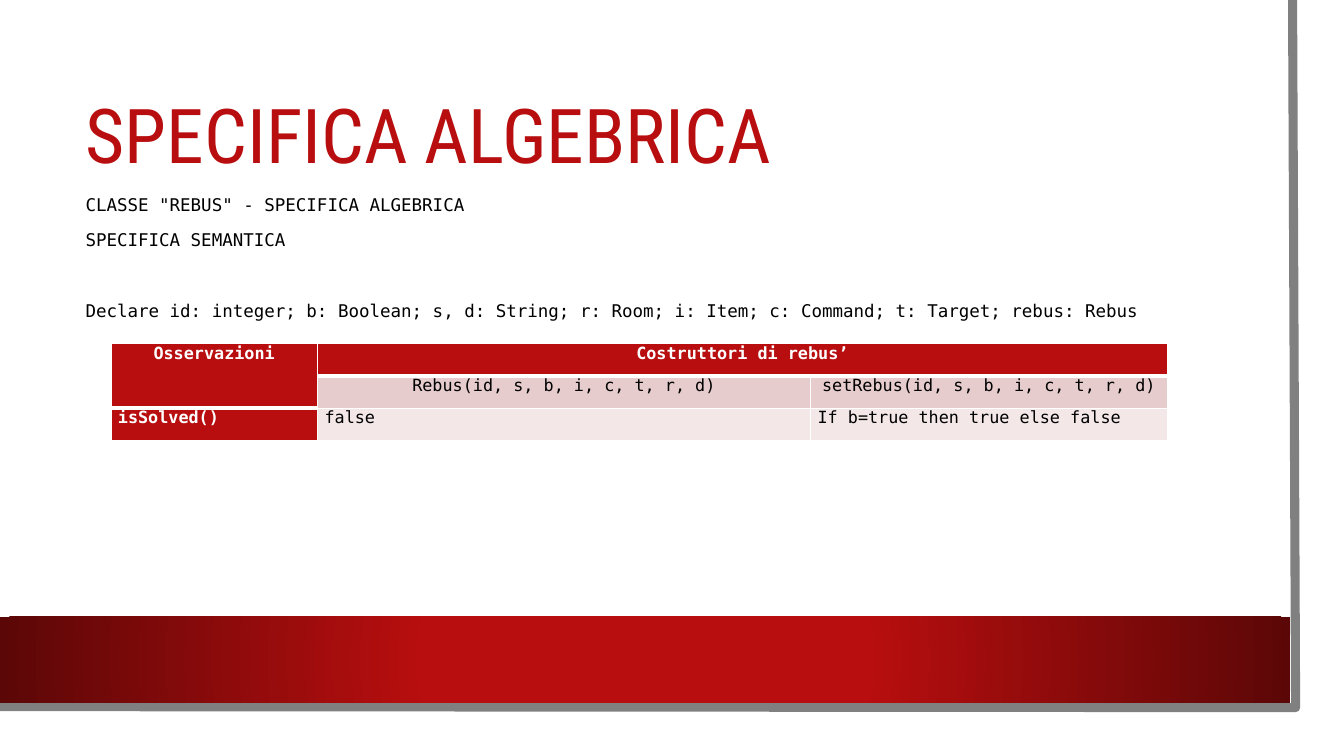
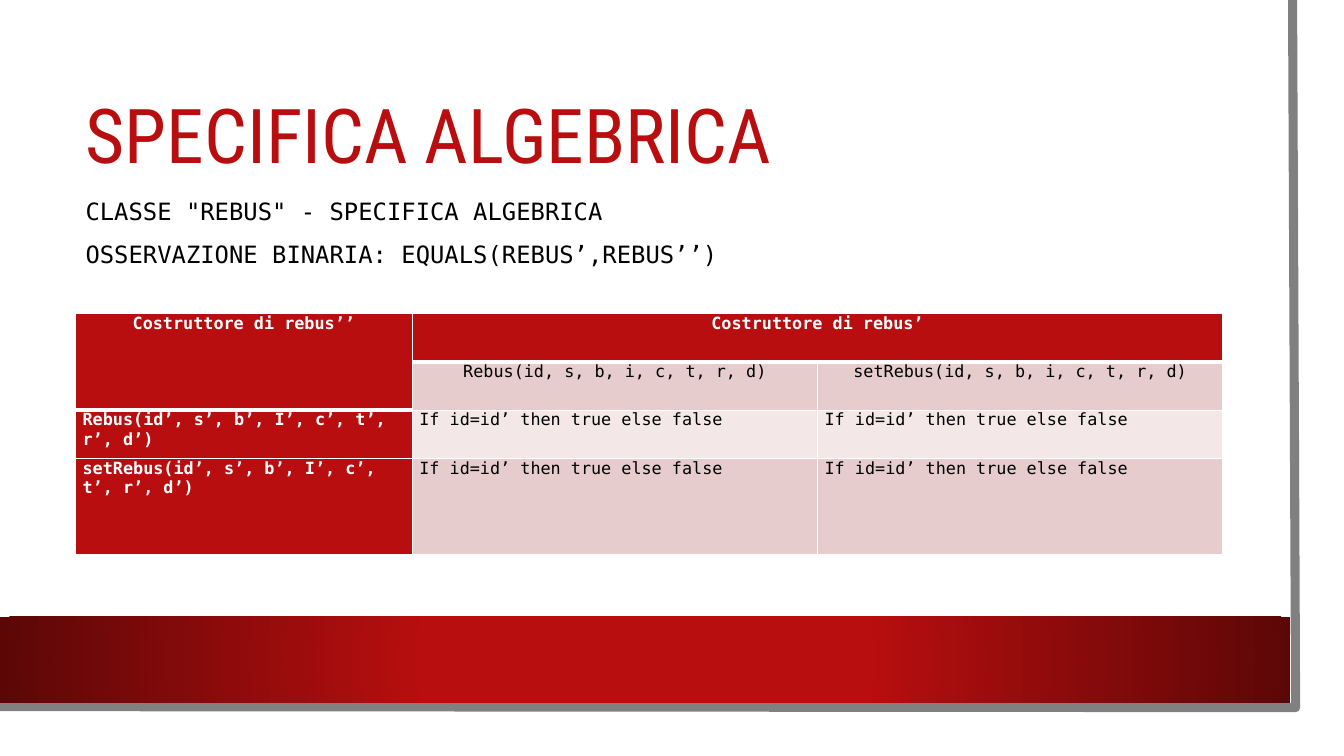
"""Build two slides on the algebraic specification of the Rebus class."""
from pptx import Presentation
from pptx.dml.color import RGBColor
from pptx.enum import shapes, text
from pptx.oxml import parse_xml
from pptx.oxml.ns import nsdecls
from pptx.util import Inches, Pt

RED, DARK_RED, GREY, WHITE, BLACK = "B80E0F", "5C0707", "808080", "FFFFFF", "000000"
BANDS = ["F3E7E7", "E6CCCC"]
TITLE_FONT, CODE_FONT = "Roboto Condensed", "DejaVu Sans Mono"
CONSTRUCTORS = ["Rebus(id, s, b, i, c, t, r, d)", "setRebus(id, s, b, i, c, t, r, d)"]
SAME_ID = "If id=id’ then true else false"
THICK = {"T": {(1, 1), (1, 2), (2, 0)}, "B": {(0, 0), (0, 1), (0, 2), (1, 0)}}

CONTENT = [
    {
        "lines": [
            ('CLASSE "REBUS" - SPECIFICA ALGEBRICA', 0),
            ("SPECIFICA SEMANTICA", 10.5),
            ("Declare id: integer; b: Boolean; s, d: String; r: Room; "
             "i: Item; c: Command; t: Target; rebus: Rebus", 35.5),
        ],
        "size": 12.5,
        "top": 1.92,
        "table_at": (1.1, 3.41),
        "widths": [2.05, 4.89, 3.54],
        "heights": [0.32, 0.32, 0.32],
        "rows": [
            ["Osservazioni", "Costruttori di rebus’", ""],
            ["", *CONSTRUCTORS],
            ["isSolved()", "false", "If b=true then true else false"],
        ],
    },
    {
        "lines": [
            ('CLASSE "REBUS" - SPECIFICA ALGEBRICA', 0),
            ("OSSERVAZIONE BINARIA: EQUALS(REBUS’,REBUS’’)", 10.5),
        ],
        "size": 17,
        "top": 1.95,
        "table_at": (0.75, 3.11),
        "widths": [3.34, 4.02, 4.02],
        "heights": [0.48, 0.48, 0.48, 0.95],
        "rows": [
            ["Costruttore di rebus’’", "Costruttore di rebus’", ""],
            ["", *CONSTRUCTORS],
            ["Rebus(id’, s’, b’, I’, c’, t’, r’, d’)", SAME_ID, SAME_ID],
            ["setRebus(id’, s’, b’, I’, c’, t’, r’, d’)", SAME_ID, SAME_ID],
        ],
    },
]


def rgb(color):
    return RGBColor.from_string(color)


def style(p, font, size, color, bold=False):
    for r in p.runs:
        r.font.name = font
        r.font.size = Pt(size)
        r.font.bold = bold
        r.font.color.rgb = rgb(color)


prs = Presentation()
prs.slide_width, prs.slide_height = Inches(13.33), Inches(7.5)
layout = prs.slide_layouts[5]
slides = [prs.slides.add_slide(layout) for _ in CONTENT]

drawing = slides[0].shapes
page = drawing.add_shape(shapes.MSO_SHAPE.RECTANGLE, 0, 0, Inches(13.1), Inches(7.27))
page.fill.solid()
page.fill.fore_color.rgb = rgb(WHITE)
page.line.fill.background()

outline = drawing.build_freeform(Inches(12.82), 0)
outline.add_line_segments([(Inches(12.85), Inches(7.02)), (Inches(-0.03), Inches(7.01))], close=False)
edge = outline.convert_to_shape()
edge.fill.background()
edge.line.color.rgb = rgb(GREY)
edge.line.width = Pt(6.5)

band = drawing.add_shape(shapes.MSO_SHAPE.RECTANGLE, 0, Inches(6.12), Inches(12.8), Inches(0.85))
band.line.fill.background()
band.element.spPr.find(".//{*}prstGeom").addnext(parse_xml(
    f'<a:gradFill {nsdecls("a")}><a:gsLst>'
    f'<a:gs pos="34000"><a:srgbClr val="{RED}"/></a:gs>'
    f'<a:gs pos="100000"><a:srgbClr val="{DARK_RED}"/></a:gs></a:gsLst>'
    '<a:path path="circle"><a:fillToRect l="50000" t="50000" r="50000" b="50000"/></a:path>'
    '</a:gradFill>'))

for i, sp in enumerate([page, edge, band]):
    sp.shadow.inherit = False
    sp.element.nvSpPr.cNvPr.set("id", str(101 + i))
    layout.shapes.element.insert(2 + i, sp.element)

for s, content in zip(slides, CONTENT):
    title = s.shapes.title
    title.left, title.top = Inches(0.75), Inches(0.75)
    title.width, title.height = Inches(11.37), Inches(1.26)
    tf = title.text_frame
    tf.text = "SPECIFICA ALGEBRICA"
    tf.vertical_anchor = text.MSO_ANCHOR.MIDDLE
    p = tf.paragraphs[0]
    p.alignment = text.PP_ALIGN.LEFT
    p.line_spacing = 0.9
    style(p, TITLE_FONT, 54, RED)

    box = s.shapes.add_textbox(Inches(0.75), Inches(content["top"]), Inches(11.37), Inches(1))
    tf = box.text_frame
    tf.word_wrap = True
    tf.margin_top = tf.margin_bottom = 0
    for i, (line, gap) in enumerate(content["lines"]):
        p = tf.add_paragraph() if i else tf.paragraphs[0]
        p.text = line
        p.space_before = Pt(gap)
        style(p, CODE_FONT, content["size"], BLACK)

    rows, widths, heights = content["rows"], content["widths"], content["heights"]
    left, top = content["table_at"]
    table = s.shapes.add_table(len(rows), len(widths), Inches(left), Inches(top),
                               Inches(sum(widths)), Inches(sum(heights))).table
    for column, width in zip(table.columns, widths):
        column.width = Inches(width)
    for row, height in zip(table.rows, heights):
        row.height = Inches(height)
    for i, row in enumerate(rows):
        for j, value in enumerate(row):
            cell = table.cell(i, j)
            header = i == 0 or j == 0
            cell.margin_left = cell.margin_right = Inches(0.07)
            cell.margin_top = cell.margin_bottom = 0
            cell.fill.solid()
            cell.fill.fore_color.rgb = rgb(RED if header else BANDS[i % 2])
            p = cell.text_frame.paragraphs[0]
            p.text = value
            p.alignment = text.PP_ALIGN.CENTER if i < 2 else text.PP_ALIGN.LEFT
            style(p, CODE_FONT, 12, WHITE if header else BLACK, header)
            tc_pr = cell._tc.get_or_add_tcPr()
            for k, side in enumerate("LRTB"):
                weight = Pt(3 if (i, j) in THICK.get(side, ()) else 1)
                tc_pr.insert(k, parse_xml(
                    f'<a:ln{side} {nsdecls("a")} w="{weight}"><a:solidFill>'
                    f'<a:srgbClr val="{WHITE}"/></a:solidFill></a:ln{side}>'))
    table.cell(0, 0).merge(table.cell(1, 0))
    table.cell(0, 1).merge(table.cell(0, 2))

prs.save("out.pptx")
